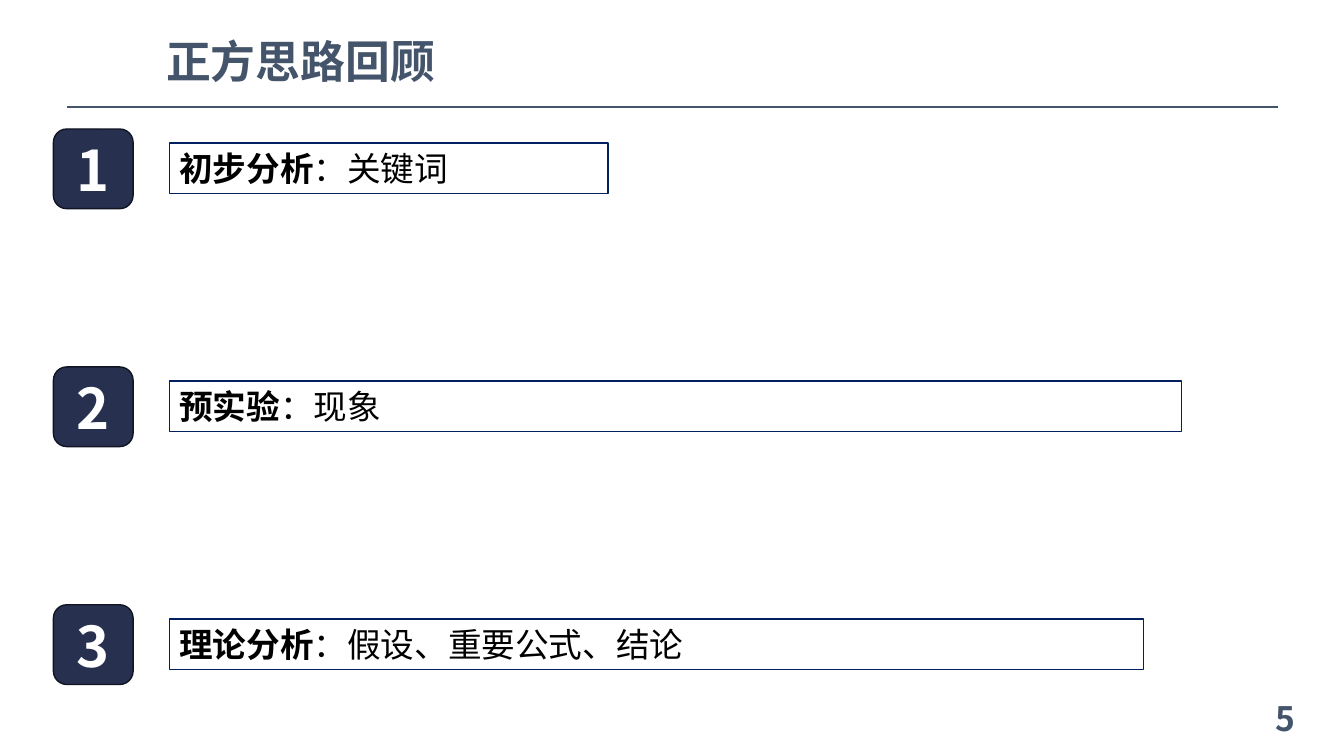
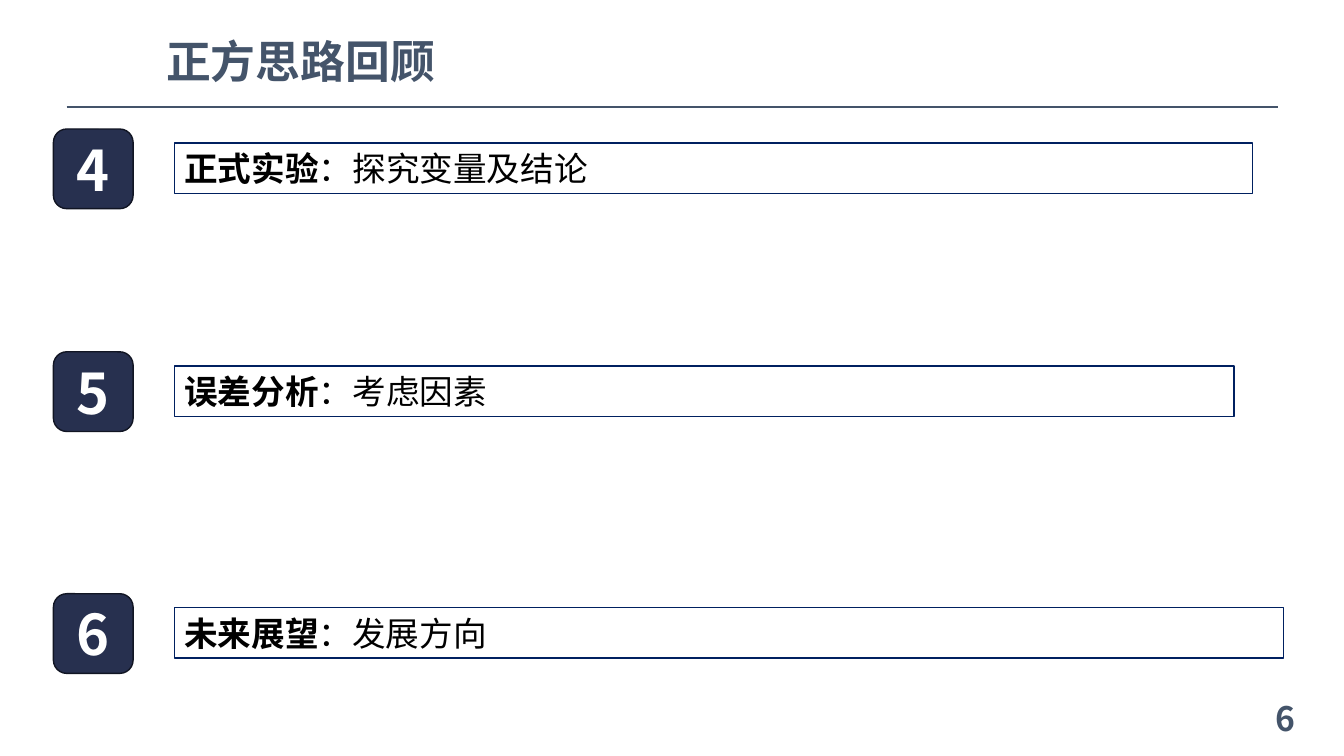
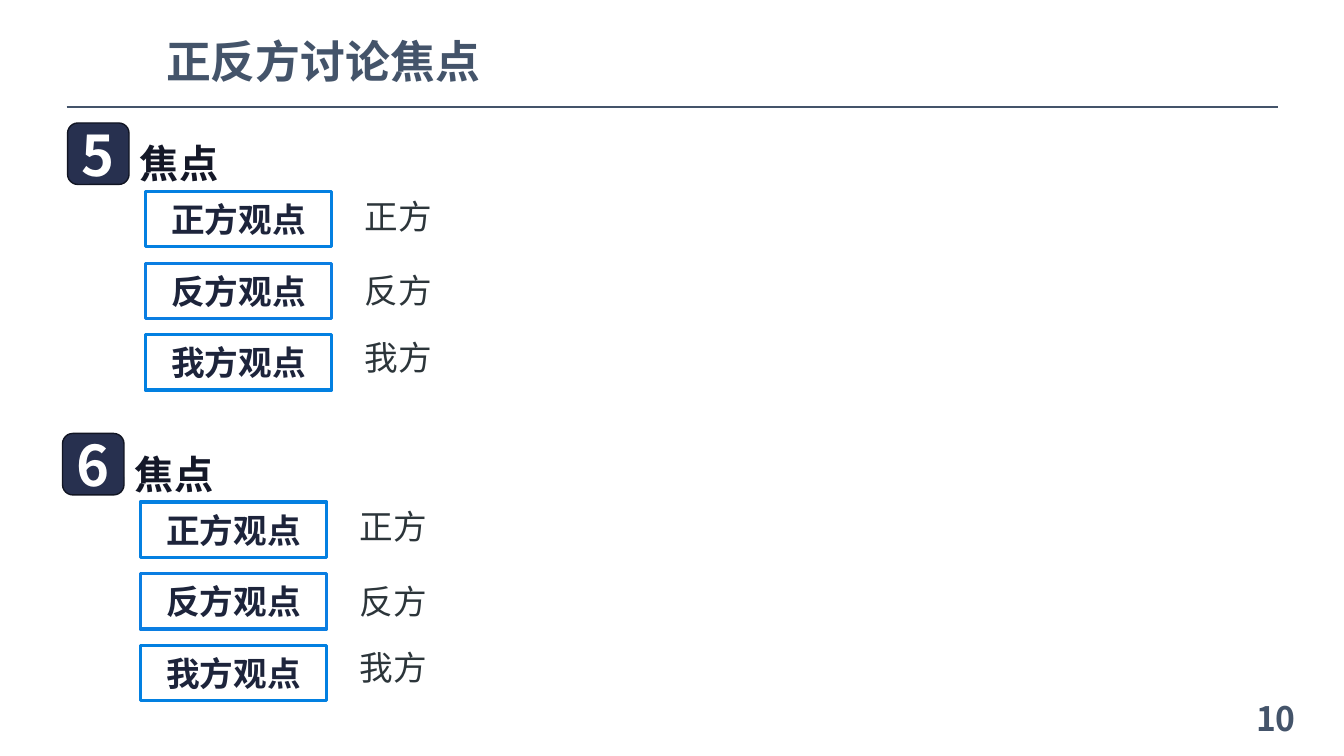
import pptx
import pptx.dml.color
import pptx.enum.shapes
import pptx.enum.text
import pptx.oxml
import pptx.oxml.ns
import pptx.util
from pptx.util import Inches

COLORS = {
    "slate": "44546A",
    "navy": "27304F",
    "badge_edge": "111523",
    "card_edge": "002060",
    "heading": "141828",
    "label": "1D243B",
    "body": "2C353A",
    "black": "000000",
    "white": "FFFFFF",
    "pro_edge": "0480E1",
    "con_edge": "0B7EE2",
    "our_edge": "0280E1",
}
SHAPES = pptx.enum.shapes.MSO_SHAPE
ALIGN = pptx.enum.text.PP_ALIGN


class SlideBuilder:
    font = "Noto Sans CJK SC"

    def __init__(self):
        self.deck = pptx.Presentation()
        self.deck.slide_width = Inches(13.33)
        self.deck.slide_height = Inches(7.5)
        self.page = None

    def color(self, name):
        return pptx.dml.color.RGBColor.from_string(COLORS[name])

    def start_page(self, title, number):
        self.page = self.deck.slides.add_slide(self.deck.slide_layouts[6])
        rule = self.page.shapes.add_connector(
            pptx.enum.shapes.MSO_CONNECTOR.STRAIGHT,
            Inches(0.66), Inches(1.06), Inches(12.68), Inches(1.06))
        rule.line.color.rgb = self.color("slate")
        rule.line.width = pptx.util.Pt(1.75)
        properties = rule._element.spPr
        properties.append(properties.makeelement(pptx.oxml.ns.qn("a:effectLst"), {}))
        self.text(9.95, 6.87, 3, 0.5, [(str(number), True)], 24, "slate", ALIGN.RIGHT)
        self.text(1.55, 0.28, 3.53, 0.64, [(title, True)], 32, "slate")

    def fill_text(self, box, spans, size, color, align):
        frame = box.text_frame
        frame.word_wrap = True
        frame.vertical_anchor = pptx.enum.text.MSO_ANCHOR.MIDDLE
        para = frame.paragraphs[0]
        para.alignment = align
        para.font.size = pptx.util.Pt(size)
        para.font.color.rgb = self.color(color)
        self.set_typeface(para.font)
        for words, bold in spans:
            span = para.add_run()
            span.text = words
            span.font.bold = bold

    def set_typeface(self, font):
        font.name = self.font
        latin = font._rPr.find(pptx.oxml.ns.qn("a:latin"))
        latin.addnext(latin.makeelement(
            pptx.oxml.ns.qn("a:ea"), {"typeface": self.font}))

    def text(self, left, top, width, height, spans, size, color, align=ALIGN.LEFT):
        box = self.page.shapes.add_textbox(
            Inches(left), Inches(top), Inches(width), Inches(height))
        self.fill_text(box, spans, size, color, align)

    def shape(self, kind, left, top, width, height, spans, size, color, edge,
              weight=1, fill=None, align=ALIGN.CENTER):
        box = self.page.shapes.add_shape(
            kind, Inches(left), Inches(top), Inches(width), Inches(height))
        box.shadow.inherit = False
        if fill:
            box.fill.solid()
            box.fill.fore_color.rgb = self.color(fill)
        else:
            box.fill.background()
        box.line.color.rgb = self.color(edge)
        box.line.width = pptx.util.Pt(weight)
        self.fill_text(box, spans, size, color, align)

    def badge(self, left, top, side, number):
        self.shape(SHAPES.ROUNDED_RECTANGLE, left, top, side, side,
                   [(str(number), True)], 40, "white", "badge_edge", fill="navy")

    def step(self, number, top, left, width, topic, detail):
        self.badge(0.53, top, 0.79, number)
        self.shape(SHAPES.RECTANGLE, left, top + 0.14, width, 0.5,
                   [(topic, True), ("：" + detail, False)], 24, "black",
                   "card_edge", align=ALIGN.LEFT)

    def focus(self, number, left, top):
        self.badge(left, top, 0.61, number)
        self.text(left + 0.62, top + 0.05, 8.66, 0.7, [("焦点", True)], 28, "heading")
        sides = [("正方", "pro_edge", 0.67), ("反方", "con_edge", 1.41),
                 ("我方", "our_edge", 2.07)]
        for row, (side, edge, text_offset) in enumerate(sides):
            self.shape(SHAPES.RECTANGLE, left + 0.77, top + 0.68 + row * 0.71,
                       1.85, 0.55, [(side + "观点", True)], 24, "label", edge, 2.25)
            self.text(left + 2.85, top + text_offset, 9.18, 0.5,
                      [(side, False)], 24, "body")


def main():
    builder = SlideBuilder()
    reviews = [
        (5, 1.68, [
            (1, 1.28, 4.35, "初步分析", "关键词"),
            (2, 3.64, 10.04, "预实验", "现象"),
            (3, 6, 9.66, "理论分析", "假设、重要公式、结论"),
        ]),
        (6, 1.73, [
            (4, 1.28, 10.69, "正式实验", "探究变量及结论"),
            (5, 3.49, 10.51, "误差分析", "考虑因素"),
            (6, 5.89, 11, "未来展望", "发展方向"),
        ]),
    ]
    for page_number, left, steps in reviews:
        builder.start_page("正方思路回顾", page_number)
        for number, top, width, topic, detail in steps:
            builder.step(number, top, left, width, topic, detail)

    builder.start_page("正反方讨论焦点", 10)
    builder.focus(5, 0.67, 1.22)
    builder.focus(6, 0.62, 4.3)
    builder.deck.save("out.pptx")


if __name__ == "__main__":
    main()
